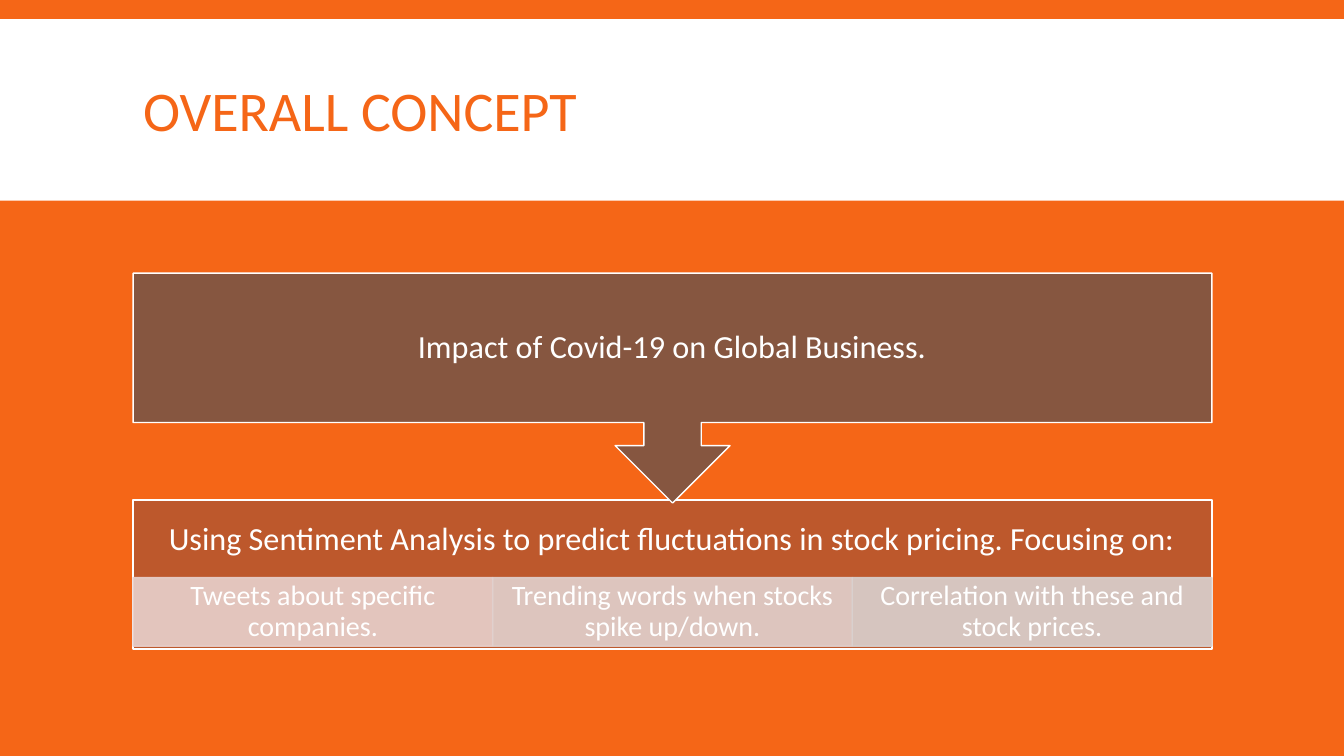
from dataclasses import dataclass

import pptx
import pptx.dml.color
import pptx.enum.shapes
import pptx.enum.text
import pptx.oxml.ns
import pptx.util
from lxml import etree

Inches = pptx.util.Inches
Pt = pptx.util.Pt
RGBColor = pptx.dml.color.RGBColor
ShapeType = pptx.enum.shapes.MSO_SHAPE
Align = pptx.enum.text.PP_ALIGN

ORANGE = RGBColor(0xF5, 0x66, 0x17)
WHITE = RGBColor(0xFF, 0xFF, 0xFF)
BROWN = RGBColor(0x86, 0x56, 0x40)
RUST = RGBColor(0xBD, 0x58, 0x2C)
ROSE = RGBColor(0xE8, 0xD1, 0xCD)
BLUSH = RGBColor(0xE1, 0xD1, 0xCE)
STONE = RGBColor(0xD9, 0xD1, 0xCF)

LEFT = 1.32
WIDTH = 10.7
FOCUS_TOP = 5.73
FOCUS_HEIGHT = 0.68


@dataclass
class Box:
    left: float
    top: float
    width: float
    height: float

    def lengths(self) -> list:
        return [Inches(v) for v in (self.left, self.top, self.width, self.height)]


@dataclass
class Focus:
    text: str
    color: RGBColor


FOCUSES = [
    Focus("Tweets about specific companies.", ROSE),
    Focus("Trending words when stocks spike up/down.", BLUSH),
    Focus("Correlation with these and stock prices.", STONE),
]


def add_panel(slide, box: Box, fill: RGBColor, line: RGBColor | None = None,
              kind=ShapeType.RECTANGLE, opacity: int = 100):
    shape = slide.shapes.add_shape(kind, *box.lengths())
    shape.shadow.inherit = False
    shape.fill.solid()
    shape.fill.fore_color.rgb = fill
    if line is None:
        shape.line.fill.background()
    else:
        shape.line.color.rgb = line
        shape.line.width = Pt(1)
    if opacity < 100:
        for color in shape.element.spPr.iter(pptx.oxml.ns.qn("a:srgbClr")):
            alpha = etree.SubElement(color, pptx.oxml.ns.qn("a:alpha"))
            alpha.set("val", str(opacity * 1000))
    return shape


def write(frame, text: str, size: int, color: RGBColor, align, spacing: float) -> None:
    frame.word_wrap = True
    frame.auto_size = pptx.enum.text.MSO_AUTO_SIZE.NONE
    frame.vertical_anchor = pptx.enum.text.MSO_ANCHOR.MIDDLE
    paragraph = frame.paragraphs[0]
    paragraph.alignment = align
    paragraph.line_spacing = spacing
    run = paragraph.add_run()
    run.text = text
    run.font.size = Pt(size)
    run.font.name = "Calibri"
    run.font.color.rgb = color


def add_label(slide, box: Box, text: str, size: int, side: float, end: float) -> None:
    frame = slide.shapes.add_textbox(*box.lengths()).text_frame
    frame.margin_left = frame.margin_right = Inches(side)
    frame.margin_top = frame.margin_bottom = Inches(end)
    write(frame, text, size, WHITE, Align.CENTER, 0.9)


def add_title(slide, box: Box, text: str) -> None:
    title = slide.shapes.title
    title.left, title.top, title.width, title.height = box.lengths()
    write(title.text_frame, text, 40, ORANGE, Align.LEFT, 0.85)


def main() -> None:
    presentation = pptx.Presentation()
    presentation.slide_width = Inches(13.33)
    presentation.slide_height = Inches(7.5)
    slide = presentation.slides.add_slide(presentation.slide_layouts[5])
    slide.background.fill.solid()
    slide.background.fill.fore_color.rgb = ORANGE

    band = add_panel(slide, Box(0, 0.19, 13.33, 1.8), WHITE)
    slide.shapes.title.element.addprevious(band.element)
    add_title(slide, Box(LEFT, 0.31, WIDTH, 1.65), "OVERALL CONCEPT")

    add_panel(slide, Box(LEFT, 4.96, WIDTH, 1.48), RUST, WHITE)
    add_label(slide, Box(LEFT, 4.96, WIDTH, 0.8),
              "Using Sentiment Analysis to predict fluctuations in stock pricing. Focusing on:",
              23, 0.18, 0.18)

    focus_width = WIDTH / len(FOCUSES)
    for index, focus in enumerate(FOCUSES):
        box = Box(LEFT + index * focus_width, FOCUS_TOP, focus_width, FOCUS_HEIGHT)
        add_panel(slide, box, focus.color, focus.color, opacity=90)
        add_label(slide, box, focus.text, 20, 0.16, 0.03)

    callout = add_panel(slide, Box(LEFT, 2.71, WIDTH, 2.28), BROWN, WHITE,
                        ShapeType.UP_ARROW_CALLOUT)
    callout.rotation = 180
    add_label(slide, Box(LEFT, 2.71, WIDTH, 1.48),
              "Impact of Covid-19 on Global Business.", 23, 0.18, 0.18)

    presentation.save("out.pptx")


if __name__ == "__main__":
    main()
